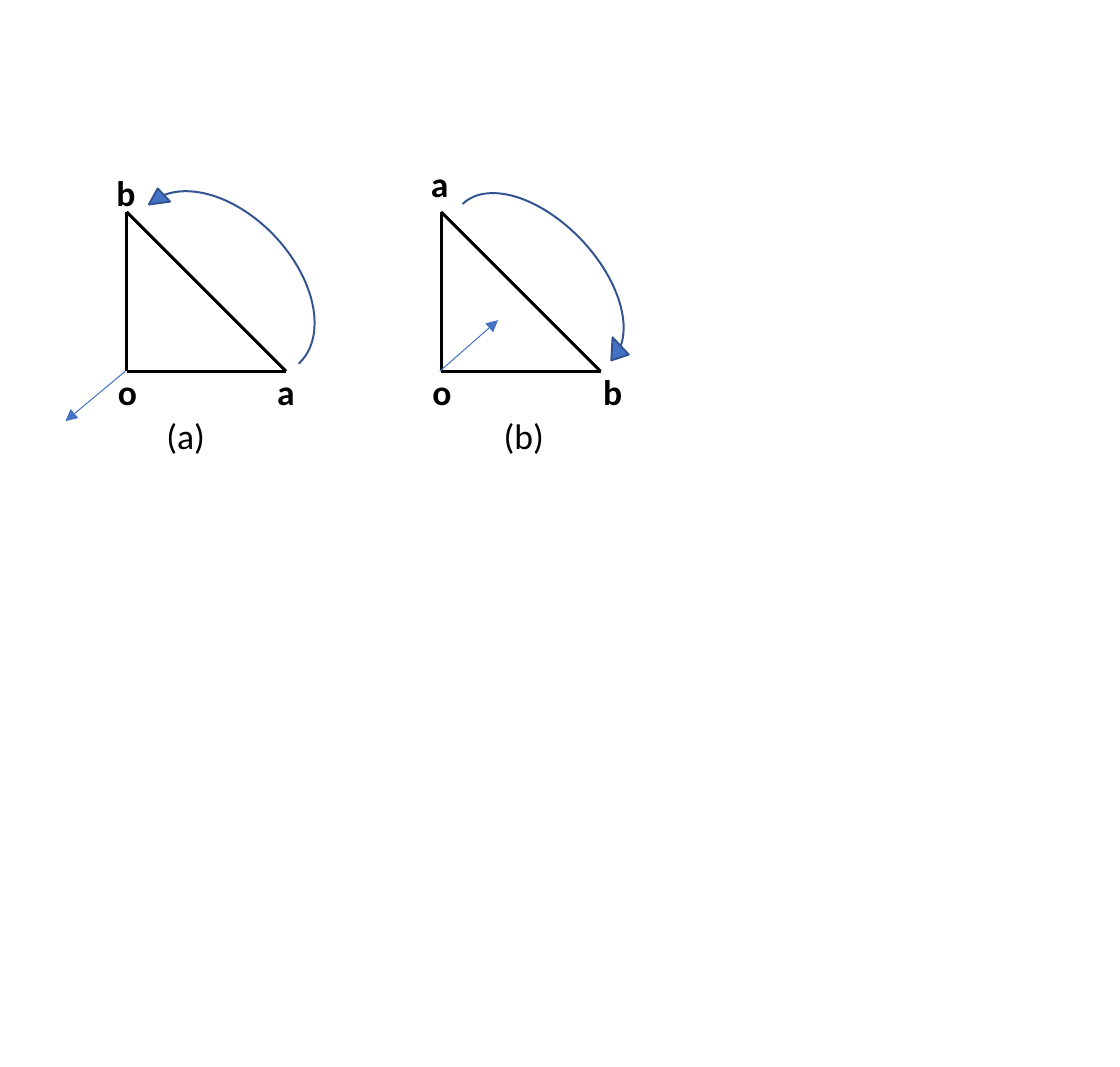
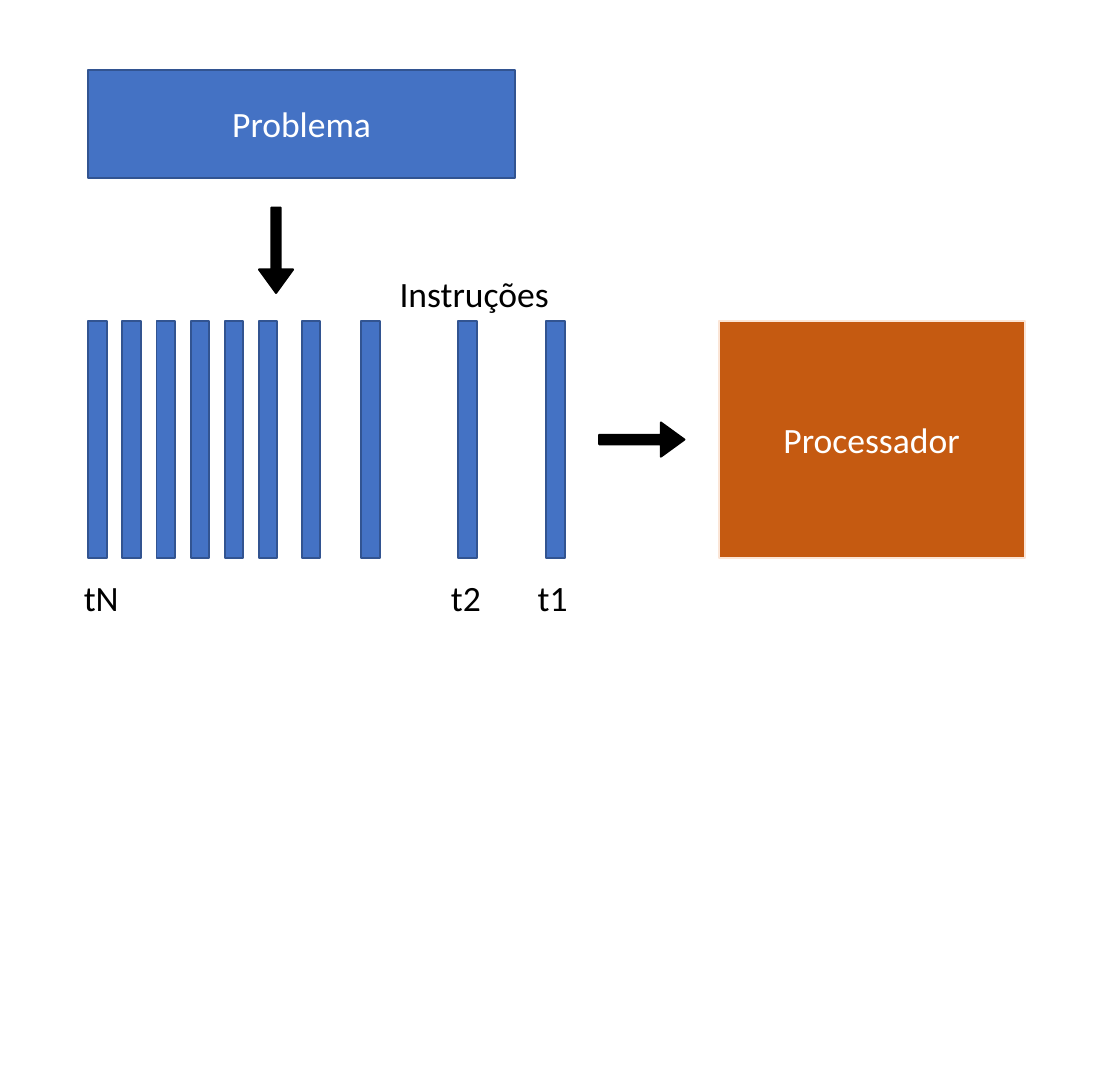
from pptx import Presentation
from pptx.dml.color import RGBColor
from pptx.enum.shapes import MSO_CONNECTOR, MSO_SHAPE
from pptx.enum.text import MSO_ANCHOR, MSO_AUTO_SIZE, PP_ALIGN
from pptx.oxml.ns import qn
from pptx.util import Inches, Pt
from lxml import etree

STRAIGHT = MSO_CONNECTOR.STRAIGHT
RECTANGLE = MSO_SHAPE.RECTANGLE
DOWN_ARROW = MSO_SHAPE.DOWN_ARROW
CURVED_ARROW = MSO_SHAPE.CURVED_UP_ARROW
MIDDLE = MSO_ANCHOR.MIDDLE
FIT_TEXT = MSO_AUTO_SIZE.SHAPE_TO_FIT_TEXT
CENTER = PP_ALIGN.CENTER

BLACK, WHITE = "000000", "FFFFFF"
BLUE, DARK_BLUE = "4472C4", "325491"
ORANGE, PALE_ORANGE = "C55A11", "FBE5D6"
FONT = {"name": "Calibri", "size": Pt(18)}

LABEL_HEIGHT = 0.4
LEG = 1.12
TOP, BASE = 1.49, 2.61
CURVE_TILT = 46.6
BAR_TOP, BAR_HEIGHT, BAR_WIDTH = 2.26, 1.66, 0.13
BAR_LEFTS = [0.62 + 0.24 * index for index in range(6)] + [2.12, 2.54, 3.22, 3.84]


def color(value):
    return RGBColor.from_string(value)


def write(frame, text, text_color, bold=False):
    para = frame.paragraphs[0]
    span = para.add_run()
    span.text = text
    for name, value in {**FONT, "bold": bold}.items():
        setattr(span.font, name, value)
    span.font.color.rgb = color(text_color)
    return para


def add_label(page, text, left, top, width, bold=False):
    box = page.shapes.add_textbox(*map(Inches, (left, top, width, LABEL_HEIGHT)))
    write(box.text_frame, text, BLACK, bold)
    for name, value in {"word_wrap": False, "auto_size": FIT_TEXT}.items():
        setattr(box.text_frame, name, value)


def add_line(page, start, end, line_color=BLACK, width=1.5, arrow=False):
    line = page.shapes.add_connector(STRAIGHT, *map(Inches, (*start, *end)))
    line.line.color.rgb = color(line_color)
    line.line.width = Pt(width)
    properties = line.element.spPr
    if arrow:
        outline = properties.find(qn("a:ln"))
        etree.SubElement(outline, qn("a:tailEnd")).set("type", "triangle")
    etree.SubElement(properties, qn("a:effectLst"))


def add_figure(page, kind, bounds, fill=BLUE, line=DARK_BLUE, text="",
               rotation=0, flips=(), adjustments=()):
    shape = page.shapes.add_shape(kind, *map(Inches, bounds))
    shape.shadow.inherit = False
    shape.rotation = rotation
    shape.fill.solid()
    shape.fill.fore_color.rgb = color(fill)
    shape.line.color.rgb = color(line)
    shape.line.width = Pt(1)
    for index, value in enumerate(adjustments):
        shape.adjustments[index] = value
    for flip in flips:
        shape.element.spPr.find(qn("a:xfrm")).set(flip, "1")
    if text:
        shape.text_frame.vertical_anchor = MIDDLE
        write(shape.text_frame, text, WHITE).alignment = CENTER


def add_triangle(page, left, vector_end):
    apex, corner, right = (left, TOP), (left, BASE), (left + LEG, BASE)
    for start, end in ((apex, corner), (corner, right), (apex, right)):
        add_line(page, start, end)
    add_line(page, (left - 0.01, BASE), vector_end, BLUE, 0.5, arrow=True)


def add_block_arrow(page, left, top, rotation=0):
    add_figure(page, DOWN_ARROW, (left, top, 0.24, 0.6), BLACK, BLACK,
               rotation=rotation, adjustments=(0.274, 0.688))


def build_orientation(page):
    add_triangle(page, 0.89, (0.46, 2.96))
    add_triangle(page, 3.1, (3.5, 2.25))
    add_figure(page, CURVED_ARROW, (3.16, 1.65, 1.6, 0.43), rotation=CURVE_TILT,
               flips=("flipV",), adjustments=(0, 0.386, 0.273))
    add_figure(page, CURVED_ARROW, (0.93, 1.56, 1.6, 0.49), rotation=CURVE_TILT,
               flips=("flipH", "flipV"), adjustments=(0, 0.259, 0.25))
    for text, left, top, width in (
        ("a", 1.85, 2.55, 0.33), ("b", 0.72, 1.15, 0.34), ("o", 0.73, 2.55, 0.34),
        ("a", 2.93, 1.09, 0.33), ("b", 4.14, 2.55, 0.34), ("o", 2.94, 2.55, 0.34),
    ):
        add_label(page, text, left, top, width, bold=True)
    add_label(page, "(a)", 1.07, 2.86, 0.48)
    add_label(page, "(b)", 3.44, 2.86, 0.49)


def build_processing(page):
    add_figure(page, RECTANGLE, (0.62, 0.49, 3, 0.76), text="Problema")
    for left in BAR_LEFTS:
        add_figure(page, RECTANGLE, (left, BAR_TOP, BAR_WIDTH, BAR_HEIGHT))
    add_block_arrow(page, 1.82, 1.46)
    add_block_arrow(page, 4.39, 2.79, rotation=270)
    add_figure(page, RECTANGLE, (5.05, BAR_TOP, 2.15, BAR_HEIGHT),
               ORANGE, PALE_ORANGE, "Processador")
    add_label(page, "Instruções", 2.71, 1.86, 1.26)
    for text, left, width in (("tN", 0.49, 0.45), ("t1", 3.68, 0.41), ("t2", 3.07, 0.41)):
        add_label(page, text, left, 4, width)


def main():
    deck = Presentation()
    deck.slide_width, deck.slide_height = Inches(7.87), Inches(7.5)
    for build in (build_orientation, build_processing):
        build(deck.slides.add_slide(deck.slide_layouts[6]))
    deck.save("out.pptx")


if __name__ == "__main__":
    main()
